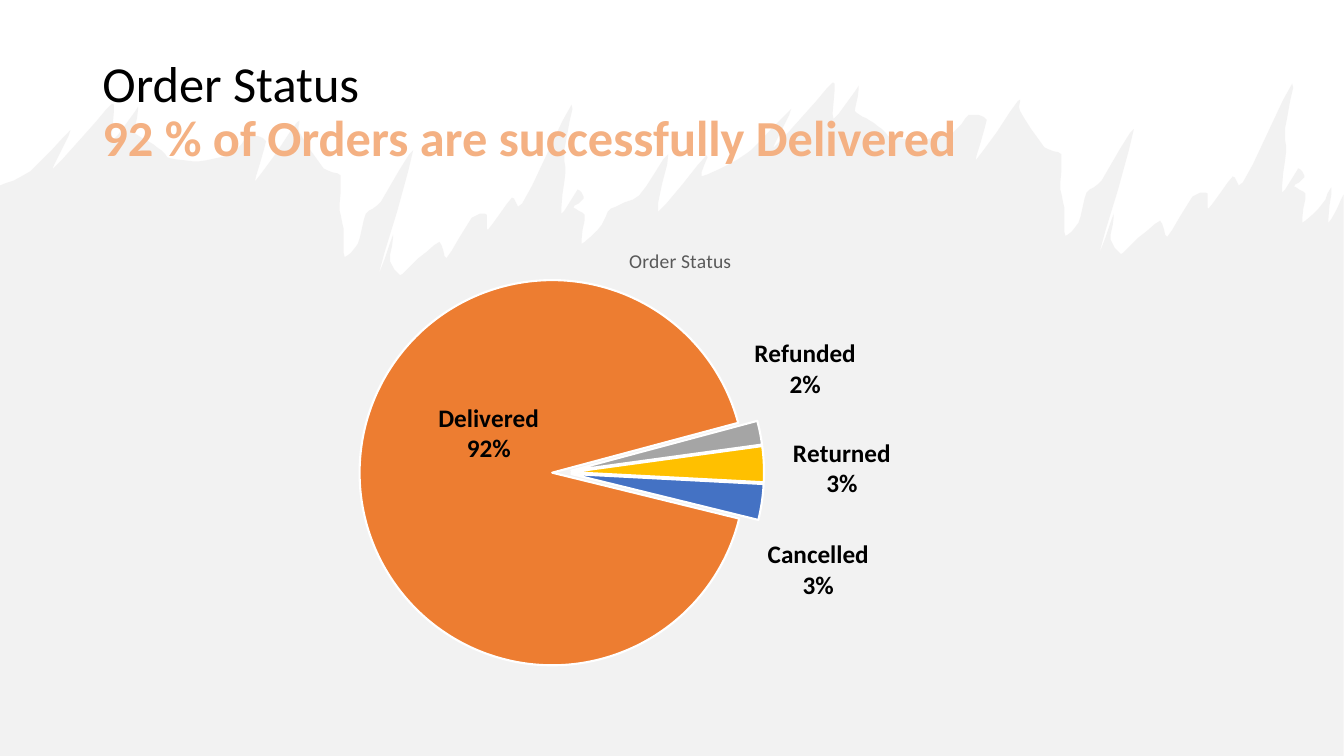
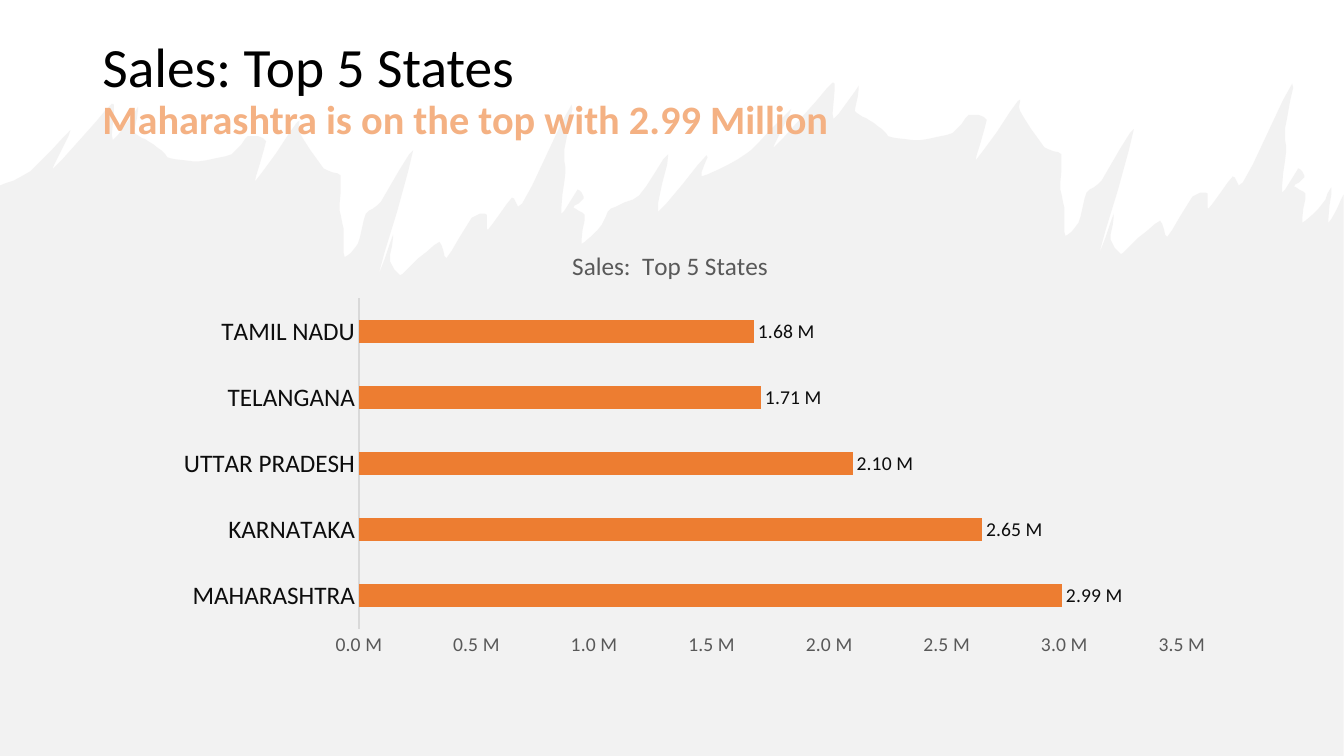
from pptx import Presentation
from pptx.chart.data import CategoryChartData
from pptx.dml.color import RGBColor
from pptx.enum.chart import XL_CHART_TYPE, XL_LABEL_POSITION, XL_TICK_MARK
from pptx.enum.text import MSO_ANCHOR, MSO_AUTO_SIZE, PP_ALIGN
from pptx.oxml import parse_xml
from pptx.oxml.ns import nsdecls
from pptx.util import Pt

PIE, BAR = XL_CHART_TYPE.PIE, XL_CHART_TYPE.BAR_CLUSTERED
OUTER = XL_LABEL_POSITION.OUTSIDE_END
NO_TICK = XL_TICK_MARK.NONE
MIDDLE, NO_FIT, LEFT = MSO_ANCHOR.MIDDLE, MSO_AUTO_SIZE.NONE, PP_ALIGN.LEFT

FONT = "Calibri"
BLACK, INK, GREY, RULE = "000000", "0D0D0D", "595959", "D9D9D9"
WHITE, MIST, PEACH, ORANGE = "FFFFFF", "E7E6E6", "F4B183", "ED7D31"
WIDE, HIGH = 960, 540
HEAD = (66, 28.8, 828, 104.4)
BODY = (66, 157.5, 828, 327.6)

UNIT = 0.72
SHIFT = (715, -21)
RIDGE = [
    (30, 170), (70, 129), (52, 168), (105, 109), (113, 104), (112, 139), (137, 106),
    (133, 131), (144, 138), (160, 149), (169, 157), (198, 160), (230, 153), (246, 135),
    (264, 140), (253, 180), (295, 121), (297, 131), (321, 167), (338, 174), (337, 209),
    (341, 227), (342, 255), (355, 242), (363, 212), (378, 200), (410, 149), (376, 271),
    (390, 233), (387, 259), (397, 273), (409, 262), (436, 240), (443, 256), (468, 216),
    (483, 213), (484, 228), (508, 196), (518, 202), (567, 104), (560, 148), (561, 171),
    (557, 212), (573, 188), (579, 197), (569, 206), (580, 213), (577, 242), (597, 223),
    (606, 207)]
LINK = [(634, 194), (663, 153), (653, 210), (701, 154), (696, 175), (732, 158)]
END = [(1318, 221), (WIDE / UNIT, 193)]


def hue(code):
    """Turn a hex string into a colour."""
    return RGBColor.from_string(code)


def style(font, size, code, bold=False):
    """Set the face, size, colour and weight of a font."""
    font.name, font.size, font.bold = FONT, Pt(size), bold
    font.color.rgb = hue(code)


def smooth(knots, steps=4, pull=0.3):
    """Run a soft curve through the knots."""
    trace = [knots[0]]
    ends = [knots[0]] + knots + [knots[-1]]
    for a, b, c, d in zip(ends, ends[1:], ends[2:], ends[3:]):
        for k in range(1, steps + 1):
            t = k / steps
            rise = t * t * (3 - 2 * t)
            out, into = pull * t * (1 - t) ** 2, pull * t * t * (t - 1)
            trace.append(tuple(q + (r - q) * rise + (r - p) * out + (s - q) * into
                               for p, q, r, s in zip(a, b, c, d)))
    return trace


def ground(slide):
    """Draw the pale ragged ground behind everything on the slide."""
    moved = [(x + SHIFT[0], y + SHIFT[1]) for x, y in RIDGE]
    trace = smooth([(0, 184)] + RIDGE + LINK + moved + END)
    trace += [(WIDE / UNIT, HIGH / UNIT), (0, HIGH / UNIT)]
    pen = slide.shapes.build_freeform(*trace[0], scale=Pt(UNIT))
    pen.add_line_segments(trace[1:], close=True)
    shape = pen.convert_to_shape()
    shape.shadow.inherit = False
    shape.line.fill.background()
    shape.fill.solid()
    shape.fill.fore_color.rgb = hue(MIST)
    tint = shape.element.xpath("./p:spPr/a:solidFill/a:srgbClr")[0]
    tint.append(parse_xml(f'<a:alpha {nsdecls("a")} val="50000"/>'))
    slide.shapes.element.insert(2, shape.element)


def header(slide, box, lines, sizes, lift=0):
    """Fill the title with a black line over a bold peach line."""
    title = slide.shapes.title
    title.left, title.top, title.width, title.height = map(Pt, box)
    frame = title.text_frame
    frame.text = "\v".join(lines)
    frame.word_wrap, frame.auto_size = True, NO_FIT
    frame.vertical_anchor, frame.margin_bottom = MIDDLE, Pt(3.6 + lift)
    para = frame.paragraphs[0]
    para.alignment, para.line_spacing = LEFT, 0.9
    for run, size, code in zip(para.runs, sizes, (BLACK, PEACH)):
        style(run.font, size, code, code == PEACH)


def place(node, spot, sides, mode="", inner=False):
    """Give a chart part a manual layout at the given child position."""
    for old in node.xpath("./c:layout"):
        node.remove(old)
    body = '<c:layoutTarget val="inner"/>' if inner else ""
    if mode:
        body += "".join(f'<c:{axis}Mode val="{mode}"/>' for axis in "xy")
    body += "".join(f'<c:{key} val="{val}"/>' for key, val in zip("xywh", sides))
    node.insert(spot, parse_xml(f'<c:layout {nsdecls("c")}><c:manualLayout>{body}'
                                "</c:manualLayout></c:layout>"))


def graph(slide, box, kind, data, title, size, left, area):
    """Add a one-series chart with a title and a fixed plot area."""
    feed = CategoryChartData()
    feed.categories = list(data)
    feed.add_series("Series 1", list(data.values()))
    chart = slide.shapes.add_chart(kind, *map(Pt, box), feed).chart
    style(chart.font, 10, BLACK)
    chart.has_legend, chart.has_title = False, True
    frame = chart.chart_title.text_frame
    frame.text = title
    style(frame.paragraphs[0].runs[0].font, size, GREY)
    root = chart.element
    place(root.xpath("./c:chart/c:title")[0], 1, (left, 0.05), "edge")
    place(root.xpath("./c:chart/c:plotArea")[0], 0, area, "edge", True)
    return chart


def pie(slide, box):
    """Draw the order status pie with its pulled slices."""
    data = {"Cancelled": 3, "Delivered": 92, "Refunded": 2, "Returned": 3}
    tints = ("4472C4", ORANGE, "A5A5A5", "FFC000")
    moves = ((0, 0.08), (0.16, -0.09), (-0.01, -0.07), (0.02, 0.01))
    chart = graph(slide, box, PIE, data, "Order Status", 14, 0.46,
                  (0.1, 0.13, 0.61, 0.84))
    points = chart.plots[0].series[0].points
    for i, tint in enumerate(tints):
        form = points[i].format
        form.fill.solid()
        form.fill.fore_color.rgb = hue(tint)
        form.line.color.rgb, form.line.width = hue(WHITE), Pt(1.5)
        label = points[i].data_label
        style(label.font, 18, BLACK, True)
        label.position = OUTER
    root = chart.element
    for look in root.xpath(".//c:dPt/c:spPr"):
        look.addprevious(parse_xml(f'<c:explosion {nsdecls("c")} val="5"/>'))
    for node, move in zip(root.xpath(".//c:dLbl"), moves):
        place(node, 1, move)
        for name, flag in (("Val", "0"), ("CatName", "1"), ("Percent", "1")):
            node.xpath(f"./c:show{name}")[0].set("val", flag)
        node.append(parse_xml(f'<c:separator {nsdecls("c")}>\n</c:separator>'))
    for node in root.xpath(".//c:showLeaderLines"):
        node.set("val", "0")
    wheel = root.xpath(".//c:pieChart")[0]
    for old in wheel.xpath("./c:firstSliceAng"):
        wheel.remove(old)
    wheel.append(parse_xml(f'<c:firstSliceAng {nsdecls("c")} val="93"/>'))


def bars(slide, box):
    """Draw the sales of the top states as bars."""
    data = {"MAHARASHTRA": 2990000, "KARNATAKA": 2650000, "UTTAR PRADESH": 2100000,
            "TELANGANA": 1710000, "TAMIL NADU": 1680000}
    chart = graph(slide, box, BAR, data, "Sales:  Top 5 States", 18, 0.41,
                  (0.23, 0.17, 0.71, 0.72))
    plot = chart.plots[0]
    plot.gap_width, plot.vary_by_categories, plot.has_data_labels = 182, False, True
    fill = plot.series[0].format.fill
    fill.solid()
    fill.fore_color.rgb = hue(ORANGE)
    labels = plot.data_labels
    labels.show_value, labels.position = True, OUTER
    labels.number_format, labels.number_format_is_linked = '0.00,,\\ "M"', False
    style(labels.font, 14, INK)
    names, scale = chart.category_axis, chart.value_axis
    for axis, size, code in ((names, 18, INK), (scale, 14, GREY)):
        axis.major_tick_mark = axis.minor_tick_mark = NO_TICK
        axis.has_major_gridlines = False
        style(axis.tick_labels.font, size, code)
    names.format.line.color.rgb, names.format.line.width = hue(RULE), Pt(0.75)
    scale.format.line.fill.background()
    scale.minimum_scale, scale.maximum_scale, scale.major_unit = 0, 3500000, 500000
    ticks = scale.tick_labels
    ticks.number_format, ticks.number_format_is_linked = '0.0,,\\ "M"', False


def main():
    """Build both slides and save them."""
    deck = Presentation()
    deck.slide_width, deck.slide_height = Pt(WIDE), Pt(HIGH)
    pages = (
        (("Order Status", "92 % of Orders are successfully Delivered"), (36, 36), 0, pie),
        (("Sales: Top 5 States", "Maharashtra is on the top with 2.99 Million"),
         (39.6, 28.8), 31.6, bars))
    for lines, sizes, lift, draw in pages:
        slide = deck.slides.add_slide(deck.slide_layouts[5])
        ground(slide)
        header(slide, HEAD, lines, sizes, lift)
        draw(slide, BODY)
    deck.save("out.pptx")


main()
